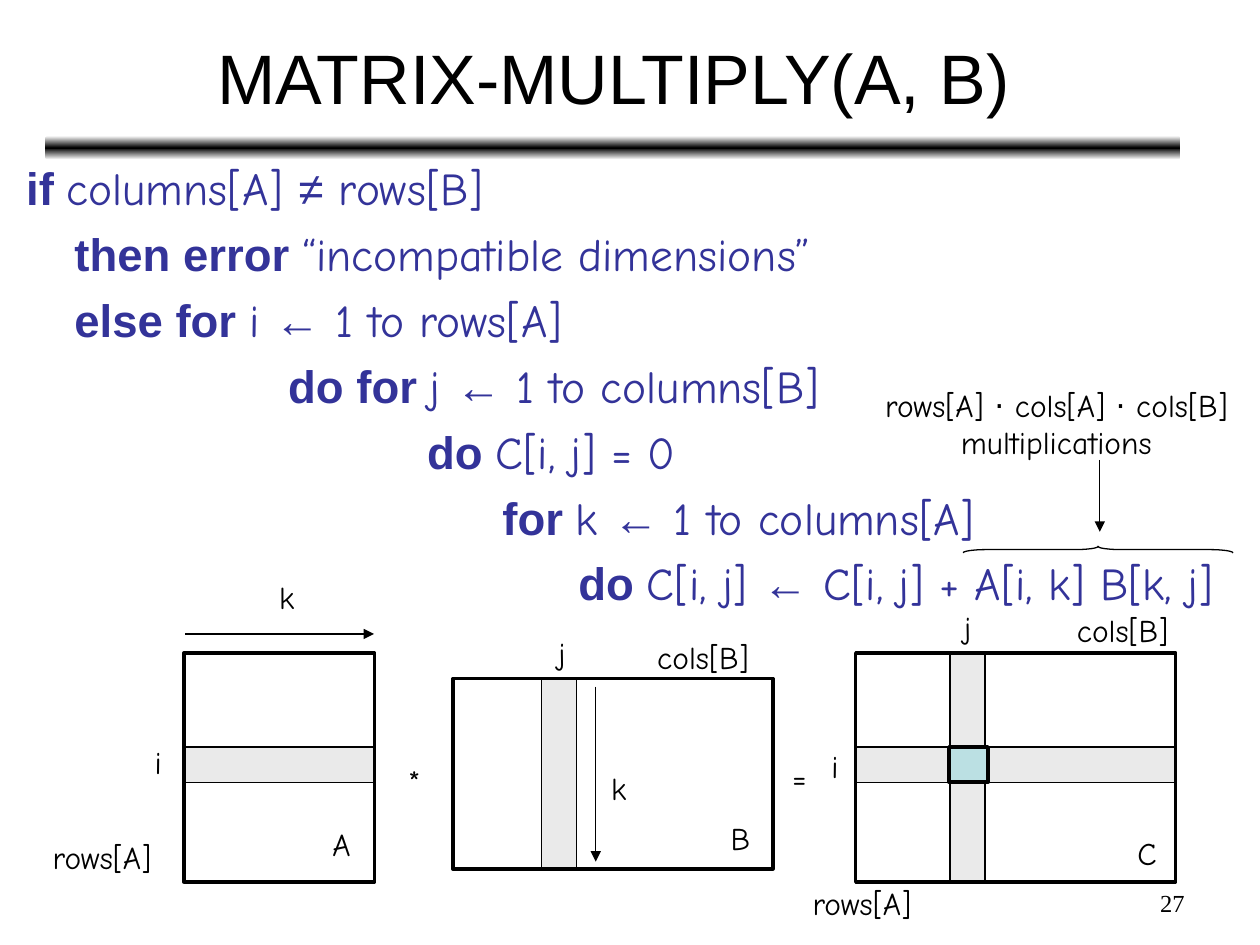
from copy import deepcopy
from dataclasses import dataclass
from itertools import groupby
from typing import Any, Optional

from pptx import Presentation
from pptx.dml.color import RGBColor
from pptx.enum.shapes import MSO_CONNECTOR, MSO_SHAPE
from pptx.enum.text import MSO_ANCHOR, MSO_AUTO_SIZE, PP_ALIGN
from pptx.oxml.ns import qn
from pptx.oxml.xmlchemy import OxmlElement
from pptx.util import Cm, Pt

RECTANGLE = MSO_SHAPE.RECTANGLE
ROUNDED = MSO_SHAPE.ROUNDED_RECTANGLE
BRACE = MSO_SHAPE.LEFT_BRACE
STRAIGHT = MSO_CONNECTOR.STRAIGHT
LEFT, CENTER, RIGHT = PP_ALIGN.LEFT, PP_ALIGN.CENTER, PP_ALIGN.RIGHT
TOP, MIDDLE = MSO_ANCHOR.TOP, MSO_ANCHOR.MIDDLE
GROW = MSO_AUTO_SIZE.SHAPE_TO_FIT_TEXT

COLORS = {"ink": "000000", "paper": "FFFFFF", "code": "333399",
          "band": "EAEAEA", "cell": "BBE0E3"}
SYMBOLS = "≠←⋅"
THIN, THICK = 0.75, 2
BAND = 0.71
LABEL_HEIGHT = 1.02

TITLE = {"name": "Arial", "size": Pt(40)}
KEYWORD = {"name": "Arial", "size": Pt(26), "bold": True}
CODE = {"name": "Comic Neue", "size": Pt(26), "bold": False}
LABEL = {"name": "Comic Neue", "size": Pt(18)}
PAGE = {"name": "Times New Roman", "size": Pt(14)}


@dataclass
class CodeLine:
    indent: float
    keyword: str
    rest: str


@dataclass
class Matrix:
    left: float
    top: float
    width: float
    height: float
    row: Optional[float] = None
    column: Optional[float] = None


@dataclass
class Label:
    text: str
    left: float
    top: float
    width: float


@dataclass
class Arrow:
    x1: float
    y1: float
    x2: float
    y2: float


CODE_LINES = [
    CodeLine(0, "if ", "columns[A] ≠ rows[B]"),
    CodeLine(0.97, "then error ", "“incompatible dimensions”"),
    CodeLine(0.97, "else for ", "i ← 1 to rows[A]"),
    CodeLine(5.28, "do for ", "j ← 1 to columns[B]"),
    CodeLine(8.08, "do ", "C[i, j] = 0"),
    CodeLine(9.6, "for ", "k ← 1 to columns[A]"),
    CodeLine(11.13, "do ", "C[i, j] ← C[i, j] + A[i, k] B[k, j]"),
]
MATRICES = [
    Matrix(3.71, 13.16, 3.84, 4.62, row=15.06),
    Matrix(9.13, 13.68, 6.45, 3.84, column=10.92),
    Matrix(17.25, 13.16, 6.45, 4.62, row=15.06, column=19.15),
]
LABELS = [
    Label("rows[A]", 0.81, 16.76, 2.55), Label("rows[A]", 16.13, 17.7, 2.55),
    Label("cols[B]", 13, 12.73, 2.5), Label("cols[B]", 21.46, 12.19, 2.5),
    Label("i", 2.87, 14.86, 0.64), Label("i", 16.51, 14.94, 0.64),
    Label("j", 11, 12.65, 0.66), Label("j", 19.18, 12.14, 0.66),
    Label("k", 5.38, 11.53, 0.81), Label("k", 12.07, 15.37, 0.81),
    Label("A", 6.45, 16.51, 0.86), Label("B", 14.48, 16.38, 0.89),
    Label("C", 22.68, 16.69, 0.89),
    Label("*", 7.98, 15.24, 0.76), Label("=", 15.72, 15.16, 0.79),
]
ARROWS = [
    Arrow(3.73, 12.78, 7.54, 12.78),
    Arrow(12.01, 13.84, 12.01, 17.37),
    Arrow(22.17, 9.27, 22.17, 10.72),
]


def color(name: str) -> RGBColor:
    return RGBColor.from_string(COLORS[name])


def add_runs(paragraph: Any, text: str, style: dict, ink: str = "ink") -> None:
    """Write text in one style, with the symbols in Arial."""
    for is_symbol, letters in groupby(text, lambda letter: letter in SYMBOLS):
        run = paragraph.add_run()
        run.text = "".join(letters)
        for attribute, value in style.items():
            setattr(run.font, attribute, value)
        if is_symbol:
            run.font.name = "Arial"
        run.font.color.rgb = color(ink)


def add_text_frame(slide: Any, left: float, top: float, width: float,
                   height: float, **settings: Any) -> Any:
    box = slide.shapes.add_textbox(Cm(left), Cm(top), Cm(width), Cm(height))
    for attribute, value in {"word_wrap": True, **settings}.items():
        setattr(box.text_frame, attribute, value)
    return box.text_frame


def add_lines(frame: Any, lines: list[str], style: dict,
              alignment: Any = LEFT) -> None:
    for index, line in enumerate(lines):
        paragraph = frame.add_paragraph() if index else frame.paragraphs[0]
        paragraph.alignment = alignment
        add_runs(paragraph, line, style)


def add_shape(slide: Any, kind: Any, left: float, top: float, width: float,
              height: float, fill: Optional[str] = None,
              line: Optional[float] = None) -> Any:
    shape = slide.shapes.add_shape(kind, Cm(left), Cm(top), Cm(width), Cm(height))
    shape.shadow.inherit = False
    if fill:
        shape.fill.solid()
        shape.fill.fore_color.rgb = color(fill)
    else:
        shape.fill.background()
    if line:
        shape.line.color.rgb = color("ink")
        shape.line.width = Pt(line)
    else:
        shape.line.fill.background()
    return shape


def add_title_rule(slide: Any) -> None:
    """Draw the bar under the title, fading from black to white at both edges."""
    rule = add_shape(slide, ROUNDED, 0.91, 2.74, 22.89, 0.48)
    rule.fill.gradient()
    rule.fill.gradient_angle = 90
    stop_list = next(rule._element.iter(qn("a:gsLst")))
    stop_list.append(deepcopy(stop_list[0]))
    stops = [(0, "paper"), (0.5, "ink"), (1, "paper")]
    for stop, (position, name) in zip(rule.fill.gradient_stops, stops):
        stop.position = position
        stop.color.rgb = color(name)


def add_code(slide: Any) -> None:
    frame = add_text_frame(slide, 0.28, 3.1, 25.12, 14.1)
    for index, line in enumerate(CODE_LINES):
        paragraph = frame.add_paragraph() if index else frame.paragraphs[0]
        paragraph.space_before = Pt(6.5)
        paragraph._p.get_or_add_pPr().set("marL", str(Cm(line.indent)))
        add_runs(paragraph, line.keyword, KEYWORD, "code")
        add_runs(paragraph, line.rest, CODE, "code")


def add_matrix(slide: Any, matrix: Matrix) -> None:
    left, top, width, height = matrix.left, matrix.top, matrix.width, matrix.height
    if matrix.row is not None:
        add_shape(slide, RECTANGLE, left, matrix.row, width, BAND, "band", THIN)
    if matrix.column is not None:
        add_shape(slide, RECTANGLE, matrix.column, top, BAND, height, "band", THIN)
    add_shape(slide, RECTANGLE, left, top, width, height, line=THICK)


def add_arrow(slide: Any, arrow: Arrow) -> None:
    ends = (Cm(value) for value in (arrow.x1, arrow.y1, arrow.x2, arrow.y2))
    connector = slide.shapes.add_connector(STRAIGHT, *ends)
    connector.line.color.rgb = color("ink")
    connector.line.width = Pt(THIN)
    head = OxmlElement("a:tailEnd")
    head.set("type", "triangle")
    connector.line._get_or_add_ln().append(head)
    connector._element.spPr.append(OxmlElement("a:effectLst"))


def main() -> None:
    presentation = Presentation()
    presentation.slide_width, presentation.slide_height = Cm(25.4), Cm(19.05)
    slide = presentation.slides.add_slide(presentation.slide_layouts[6])

    add_title_rule(slide)
    title = add_text_frame(slide, 0.94, 0.28, 22.86, 2.51, vertical_anchor=MIDDLE)
    add_lines(title, ["MATRIX-MULTIPLY(A, B)"], TITLE, CENTER)
    add_code(slide)
    for matrix in MATRICES:
        add_matrix(slide, matrix)
    add_shape(slide, RECTANGLE, 19.13, 15.06, 0.79, BAND, "cell", THICK)
    for label in LABELS:
        frame = add_text_frame(slide, label.left, label.top, label.width,
                               LABEL_HEIGHT, word_wrap=False, auto_size=GROW)
        add_lines(frame, [label.text], LABEL)
    for arrow in ARROWS:
        add_arrow(slide, arrow)

    count = add_text_frame(slide, 17.42, 7.65, 7.75, 1.78, vertical_anchor=TOP)
    add_lines(count, ["rows[A] ⋅ cols[A] ⋅ cols[B]", "multiplications"], LABEL, CENTER)
    brace = add_shape(slide, BRACE, 22.07, 8.36, 0.13, 5.44, line=THIN)
    brace.rotation = 90
    brace.adjustments[0] = 3.6
    page = add_text_frame(slide, 18.21, 17.78, 5.92, 0.89)
    add_lines(page, ["27"], PAGE, RIGHT)
    presentation.save("out.pptx")


if __name__ == "__main__":
    main()
